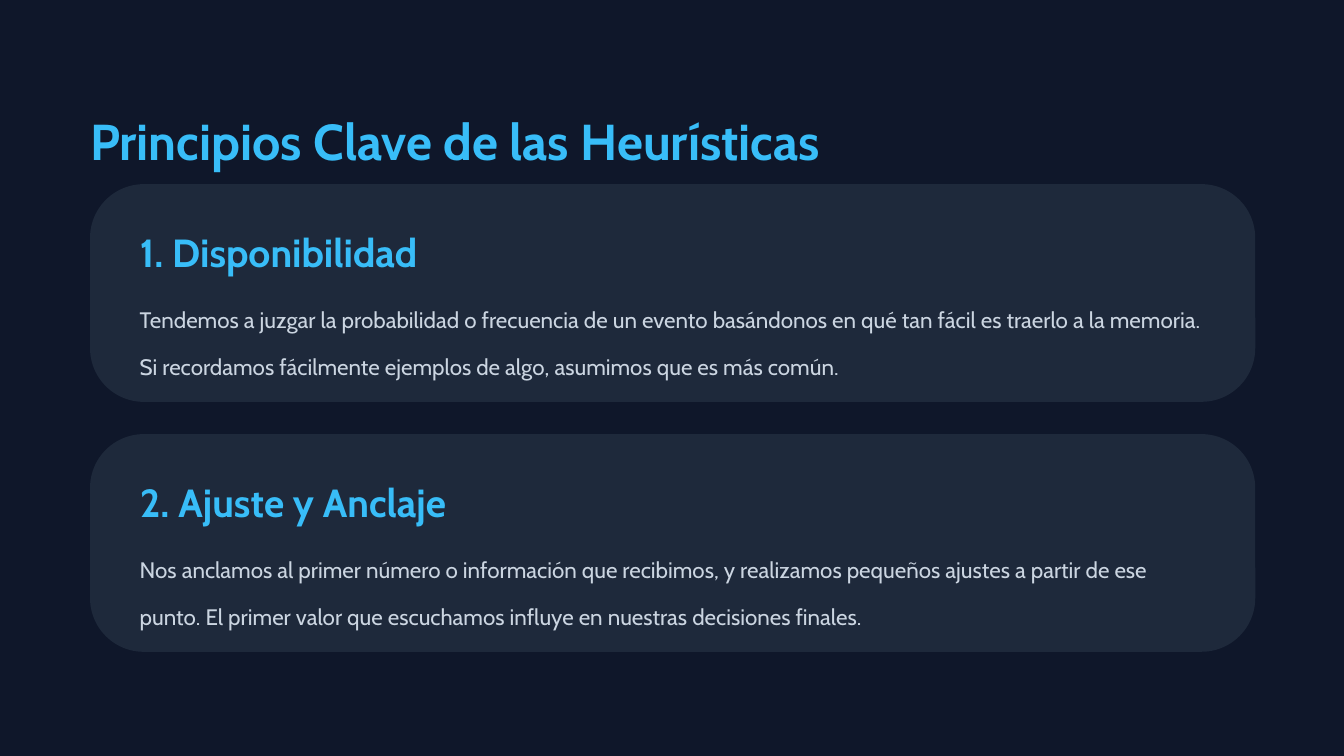
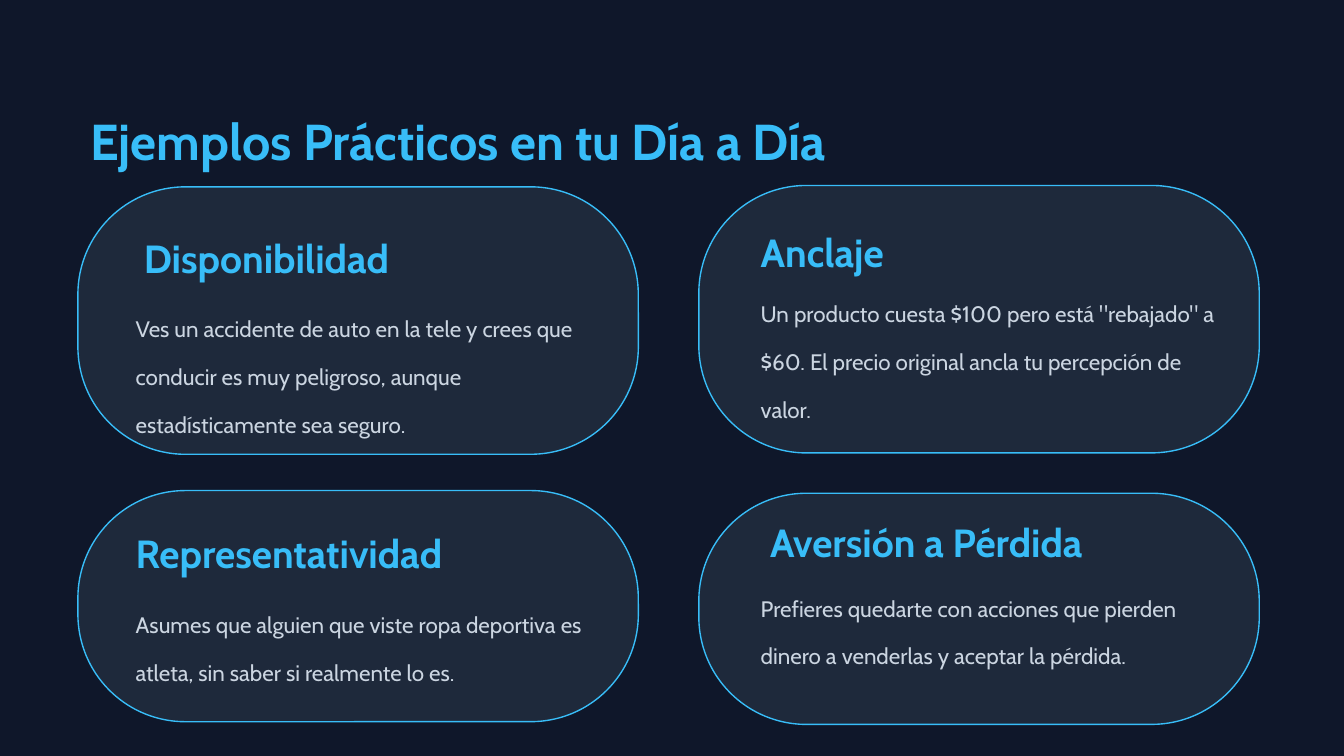
from pptx import Presentation
from pptx.dml.color import RGBColor
from pptx.enum.shapes import MSO_SHAPE as Shape
from pptx.util import Inches, Pt

NIGHT, SLATE, SKY, MIST = "0F172A", "1E293B", "38BDF8", "CBD5E1"
FONT = "Cabin"


def rgb(value):
    return RGBColor.from_string(value)


class Deck:
    def __init__(self):
        self.prs = Presentation()
        self.prs.slide_width = Inches(10)
        self.prs.slide_height = Inches(10 * 9 / 16)
        self.slide = None

    def new_slide(self):
        self.slide = self.prs.slides.add_slide(self.prs.slide_layouts[6])
        fill = self.slide.background.fill
        fill.solid()
        fill.fore_color.rgb = rgb(NIGHT)

    def card(self, left, top, width, height, radius, outline=None):
        """Draw a rounded panel; the corner radius is in inches."""
        panel = self.slide.shapes.add_shape(
            Shape.ROUNDED_RECTANGLE,
            Inches(left), Inches(top), Inches(width), Inches(height))
        panel.adjustments[0] = radius / height
        panel.shadow.inherit = False
        panel.fill.solid()
        panel.fill.fore_color.rgb = rgb(SLATE)
        if outline:
            panel.line.color.rgb = rgb(outline)
            panel.line.width = Pt(0.75)
        else:
            panel.line.fill.background()

    def text(self, words, left, top, width, height, size, leading, color, bold=False):
        box = self.slide.shapes.add_textbox(
            Inches(left), Inches(top), Inches(width), Inches(height))
        frame = box.text_frame
        frame.word_wrap = True
        frame.margin_left = frame.margin_right = 0
        frame.margin_top = frame.margin_bottom = 0
        paragraph = frame.paragraphs[0]
        paragraph.line_spacing = Pt(leading)
        run = paragraph.add_run()
        run.text = words
        run.font.name = FONT
        run.font.size = Pt(size)
        run.font.bold = bold
        run.font.color.rgb = rgb(color)

    def title(self, words):
        self.text(words, 0.67, 0.67, 8.84, 0.45, 27, 43.2, SKY, bold=True)

    def heading(self, words, left, top, width):
        self.text(words, left, top, width, 0.33, 21, 25.2, SKY, bold=True)

    def body(self, words, left, top, width, height):
        self.text(words, left, top, width, height, 12, 25.6, MIST)


def principles(deck):
    items = [
        ("1. Disponibilidad",
         "Tendemos a juzgar la probabilidad o frecuencia de un evento basándonos en "
         "qué tan fácil es traerlo a la memoria. Si recordamos fácilmente ejemplos de "
         "algo, asumimos que es más común."),
        ("2. Ajuste y Anclaje",
         "Nos anclamos al primer número o información que recibimos, y realizamos "
         "pequeños ajustes a partir de ese punto. El primer valor que escuchamos "
         "influye en nuestras decisiones finales."),
    ]
    first_top, pitch = 1.37, 1.86
    tops = [first_top + pitch * row for row in range(len(items))]

    deck.new_slide()
    for top in tops:
        deck.card(0.67, top, 8.67, 1.62, radius=0.4)
    deck.title("Principios Clave de las Heurísticas")
    for top, (name, detail) in zip(tops, items):
        deck.heading(name, 1.04, top + 0.33, 8.12)
        deck.body(detail, 1.04, top + 0.75, 7.96, 0.53)


def examples(deck):
    # Card left, top, height; heading left, top; body left, top, height
    items = [
        ((0.58, 1.39, 1.99), (1.07, 1.74), (1.01, 2.19, 0.8), "Disponibilidad",
         "Ves un accidente de auto en la tele y crees que conducir es muy peligroso, "
         "aunque estadísticamente sea seguro."),
        ((5.2, 1.38, 1.99), (5.66, 1.7), (5.66, 2.08, 0.8), "Anclaje",
         "Un producto cuesta $100 pero está \"rebajado\" a $60. El precio original "
         "ancla tu percepción de valor."),
        ((0.58, 3.65, 1.72), (1.01, 3.94), (1.01, 4.39, 0.53), "Representatividad",
         "Asumes que alguien que viste ropa deportiva es atleta, sin saber si "
         "realmente lo es."),
        ((5.2, 3.67, 1.72), (5.73, 3.86), (5.66, 4.27, 0.53), "Aversión a Pérdida",
         "Prefieres quedarte con acciones que pierden dinero a venderlas y aceptar "
         "la pérdida."),
    ]
    deck.new_slide()
    for (left, top, height), *_ in items:
        deck.card(left, top, 4.17, height, radius=0.8, outline=SKY)
    deck.title("Ejemplos Prácticos en tu Día a Día")
    for _, heading_at, (left, top, height), name, detail in items:
        deck.heading(name, *heading_at, width=3.55)
        deck.body(detail, left, top, 3.48, height)


def main():
    deck = Deck()
    principles(deck)
    examples(deck)
    deck.prs.save("out.pptx")


if __name__ == "__main__":
    main()
